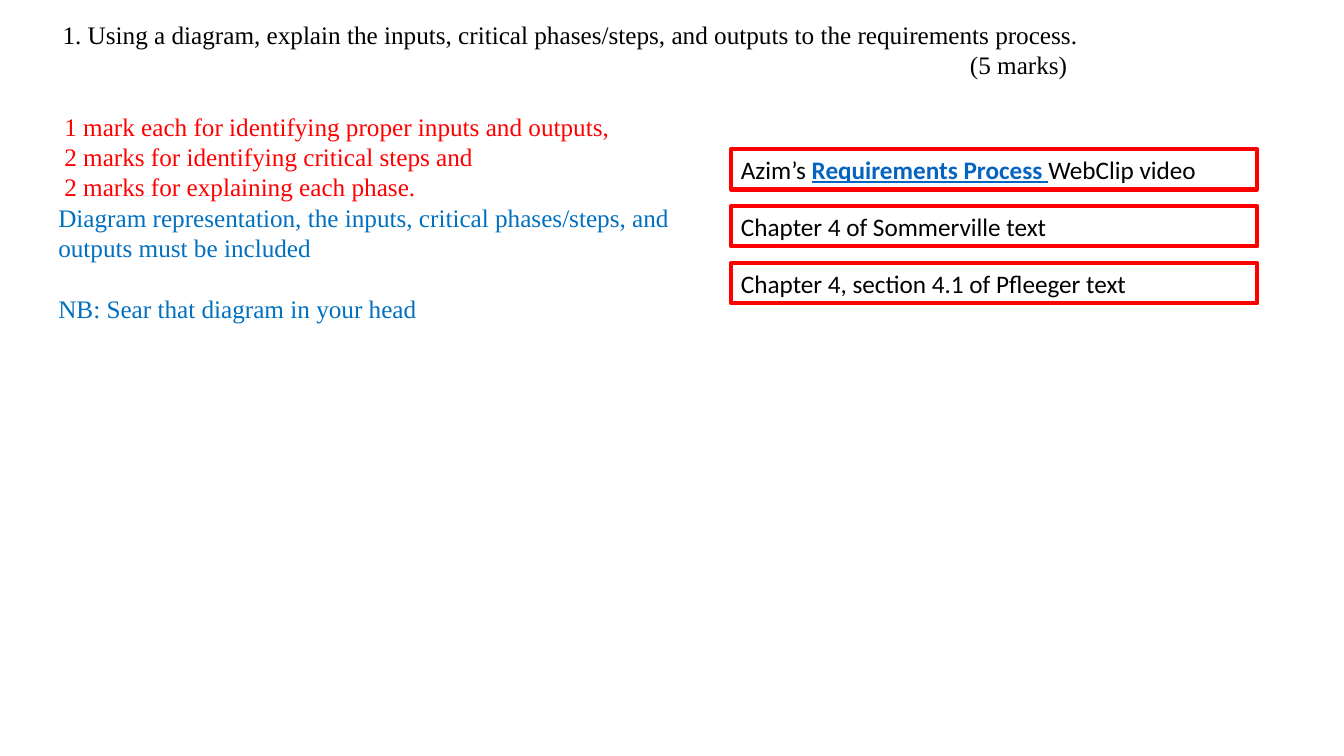
from dataclasses import dataclass

from pptx import Presentation
from pptx.dml.color import RGBColor as Color
from pptx.enum.shapes import MSO_SHAPE as Shape
from pptx.enum.text import MSO_ANCHOR as Anchor, MSO_AUTO_SIZE as AutoSize, PP_ALIGN as Align
from pptx.util import Inches, Pt


@dataclass(frozen=True)
class Theme:
    black: Color = Color.from_string("000000")
    red: Color = Color.from_string("FF0000")
    blue: Color = Color.from_string("0070C0")
    link: Color = Color.from_string("0563C1")
    serif: str = "Times New Roman"
    sans: str = "Calibri"
    size: Pt = Pt(18)
    leading: Pt = Pt(21.7)
    border: Pt = Pt(3)


THEME = Theme()


def style(para, font, color, align=Align.LEFT):
    para.alignment = align
    para.font.name = font
    para.font.size = THEME.size
    para.font.bold = False
    para.font.color.rgb = color


def prepare(frame, anchor=Anchor.TOP):
    frame.word_wrap = True
    frame.auto_size = AutoSize.NONE
    frame.vertical_anchor = anchor
    frame.margin_left = frame.margin_right = Inches(0.1)
    frame.margin_top = frame.margin_bottom = Inches(0.05)


def add_lines(frame, lines):
    """Each line is text, colour, left indent and space before."""
    prepare(frame)
    for index, (text, color, indent, gap) in enumerate(lines):
        para = frame.add_paragraph() if index else frame.paragraphs[0]
        para.text = text
        para.line_spacing = THEME.leading
        para.space_before = gap
        para._p.get_or_add_pPr().set("marL", str(Inches(indent)))
        style(para, THEME.serif, color)


def place(shape, left, top, width, height):
    shape.left, shape.top = Inches(left), Inches(top)
    shape.width, shape.height = Inches(width), Inches(height)


def add_reference(page, top, spans):
    """A red outlined box; each span is text and whether it looks like a link."""
    box = page.shapes.add_shape(
        Shape.RECTANGLE, Inches(7.25), Inches(top), Inches(5.22), Inches(0.4))
    box.shadow.inherit = False
    box.fill.background()
    box.line.color.rgb = THEME.red
    box.line.width = THEME.border
    prepare(box.text_frame, Anchor.MIDDLE)
    para = box.text_frame.paragraphs[0]
    style(para, THEME.sans, THEME.black)
    for text, is_link in spans:
        span = para.add_run()
        span.text = text
        if is_link:
            span.font.bold = span.font.underline = True
            span.font.color.rgb = THEME.link


def main():
    deck = Presentation()
    deck.slide_width, deck.slide_height = Inches(13.33), Inches(7.5)
    page = deck.slides.add_slide(deck.slide_layouts.get_by_name("Title Only"))

    # Question
    title = page.shapes.title
    place(title, 0.52, 0.14, 12.34, 1.01)
    add_lines(title.text_frame, [
        ("1. Using a diagram, explain the inputs, critical phases/steps, "
         "and outputs to the requirements process.", THEME.black, 0, 0),
        ("(5 marks)", THEME.black, 9, 0),
    ])

    # Marking guide
    guide = page.shapes.add_textbox(
        Inches(0.48), Inches(1.05), Inches(6.56), Inches(2.22))
    add_lines(guide.text_frame, [
        ("1 mark each for identifying proper inputs and outputs,", THEME.red, 0.06, 0),
        ("2 marks for identifying critical steps and", THEME.red, 0.06, 0),
        ("2 marks for explaining each phase.", THEME.red, 0.06, 0),
        ("Diagram representation, the inputs, critical phases/steps, "
         "and outputs must be included", THEME.blue, 0, 0),
        ("NB: Sear that diagram in your head", THEME.blue, 0, THEME.leading),
    ])

    # References
    references = [
        [("Azim’s ", False), ("Requirements Process ", True), ("WebClip video", False)],
        [("Chapter 4 of Sommerville text", False)],
        [("Chapter 4, section 4.1 of Pfleeger text", False)],
    ]
    for index, spans in enumerate(references):
        add_reference(page, 1.48 + index * 0.565, spans)

    deck.save("out.pptx")


if __name__ == "__main__":
    main()
